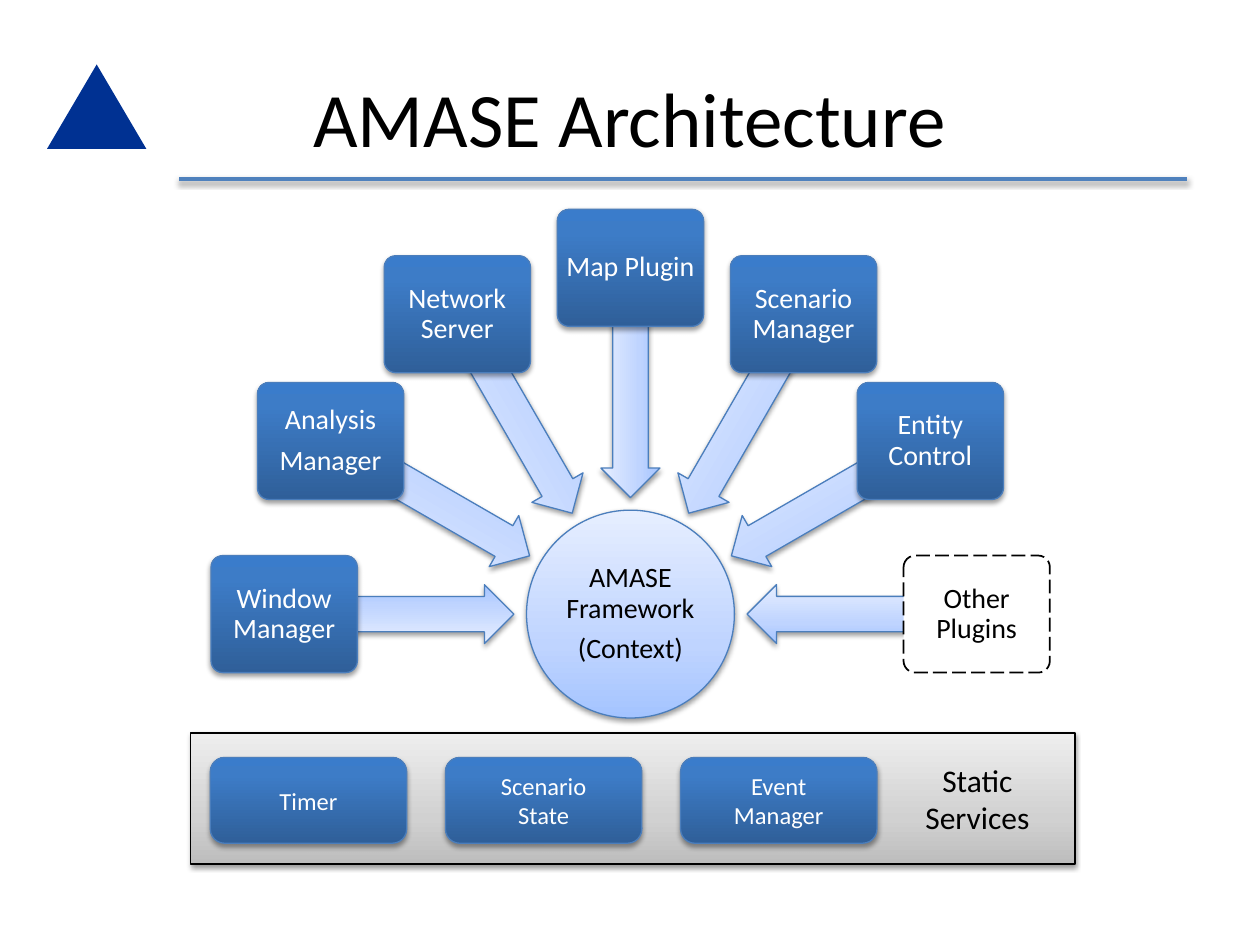
from copy import deepcopy
from math import cos, radians, sin

from lxml import etree
from pptx import Presentation
from pptx.dml.color import RGBColor
from pptx.enum.dml import MSO_LINE
from pptx.enum.shapes import MSO_CONNECTOR, MSO_SHAPE
from pptx.enum.text import MSO_ANCHOR, PP_ALIGN
from pptx.oxml.ns import qn
from pptx.util import Cm, Pt

ROUNDED, ARROW = MSO_SHAPE.ROUNDED_RECTANGLE, MSO_SHAPE.LEFT_ARROW
CENTER, MIDDLE, LONG_DASH = PP_ALIGN.CENTER, MSO_ANCHOR.MIDDLE, MSO_LINE.LONG_DASH

BLACK = RGBColor(0x00, 0x00, 0x00)
WHITE = RGBColor(0xFF, 0xFF, 0xFF)
NAVY = RGBColor(0x00, 0x31, 0x92)
RULE_BLUE = RGBColor(0x4F, 0x81, 0xBD)
EDGE_BLUE = RGBColor(0x4B, 0x7E, 0xBC)

# Gradients run from bottom to top: (position, colour)
PALE = [(0, RGBColor(0xA4, 0xC4, 0xFF)), (0.35, RGBColor(0xBF, 0xD4, 0xFF)),
        (1, RGBColor(0xE6, 0xEE, 0xFF))]
STRONG = [(0, RGBColor(0x2F, 0x5F, 0x99)), (0.8, RGBColor(0x3D, 0x7C, 0xC7)),
          (1, RGBColor(0x3A, 0x7C, 0xCB))]
GREY = [(0, RGBColor(0xBD, 0xBD, 0xBD)), (0.35, RGBColor(0xD1, 0xD1, 0xD1)),
        (1, RGBColor(0xEE, 0xEE, 0xEE))]


def style(sp, stops, line=EDGE_BLUE):
    """Give a shape a three-stop gradient, a thin outline and a soft shadow."""
    sp.fill.gradient()
    sp.fill.gradient_angle = 90
    spPr = sp._element.spPr
    gs_list = spPr.find(".//" + qn("a:gsLst"))
    gs_list.append(deepcopy(gs_list[0]))
    for stop, (position, color) in zip(sp.fill.gradient_stops, stops):
        stop.position = position
        stop.color.rgb = color
    sp.line.color.rgb = line
    sp.line.width = Pt(0.75)
    sp.shadow.inherit = False
    shadow = etree.SubElement(spPr.find(qn("a:effectLst")), qn("a:outerShdw"),
                              blurRad=str(Pt(3.1)), dist=str(Pt(1.6)),
                              dir="5400000", rotWithShape="0")
    color = etree.SubElement(shadow, qn("a:srgbClr"), val="000000")
    etree.SubElement(color, qn("a:alpha"), val="38000")


def write(sp, text, size, color, inset=None, spacing=None, after=0):
    tf = sp.text_frame
    tf.word_wrap = True
    tf.text = text
    if inset is not None:
        tf.margin_left = tf.margin_right = tf.margin_top = tf.margin_bottom = inset
    for p in tf.paragraphs:
        p.alignment = CENTER
        p.line_spacing = spacing
        p.space_after = Pt(after)
        for r in p.runs:
            r.font.name = "Calibri"
            r.font.size = Pt(size)
            r.font.color.rgb = color


prs = Presentation()
prs.slide_width, prs.slide_height = Cm(25.4), Cm(19.05)
s = prs.slides.add_slide(prs.slide_layouts[5])
shapes = s.shapes

# Header
title = shapes.title
title.left, title.top, title.width, title.height = Cm(1.27), Cm(0.76), Cm(22.86), Cm(3.18)
title.text_frame.vertical_anchor = MIDDLE
write(title, "AMASE Architecture", 44, BLACK)

emblem = shapes.add_shape(MSO_SHAPE.ISOSCELES_TRIANGLE, Cm(0.95), Cm(1.3), Cm(2), Cm(1.7))
emblem.fill.solid()
emblem.fill.fore_color.rgb = NAVY
emblem.line.fill.background()
emblem.shadow.inherit = False

# Framework hub
HUB_X, HUB_Y, HUB_SIZE = 12.71, 12.38, 4.19
hub = shapes.add_shape(MSO_SHAPE.OVAL, Cm(HUB_X - HUB_SIZE / 2), Cm(HUB_Y - HUB_SIZE / 2),
                       Cm(HUB_SIZE), Cm(HUB_SIZE))
style(hub, PALE)
hub.text_frame.vertical_anchor = MIDDLE
write(hub, "AMASE Framework\n(Context)", 16, BLACK, Cm(0.03), 0.9, 5.6)

rule = shapes.add_connector(MSO_CONNECTOR.STRAIGHT, Cm(3.61), Cm(3.61), Cm(23.93), Cm(3.61))
rule.line.color.rgb = RULE_BLUE
rule.line.width = Pt(2)
rule._element.spPr.append(deepcopy(hub._element.spPr.find(qn("a:effectLst"))))

# Plugins on a half circle around the hub, 30 degrees apart
PLUGINS = ["Window Manager", "Analysis\nManager", "Network Server", "Map Plugin",
           "Scenario Manager", "Entity Control", "Other Plugins"]
PLUGIN_RADIUS, PLUGIN_W, PLUGIN_H = 6.98, 2.95, 2.36
ARROW_RADIUS, ARROW_W, ARROW_H = 4.66, 4.62, 1.19
for i, name in enumerate(PLUGINS):
    angle = 180 + 30 * i
    dx, dy = cos(radians(angle)), sin(radians(angle))

    arrow = shapes.add_shape(ARROW, Cm(HUB_X + ARROW_RADIUS * dx - ARROW_W / 2),
                             Cm(HUB_Y + ARROW_RADIUS * dy - ARROW_H / 2),
                             Cm(ARROW_W), Cm(ARROW_H))
    arrow.adjustments[0], arrow.adjustments[1] = 0.6, 0.5
    arrow.rotation = angle % 360
    style(arrow, PALE)

    plugin = shapes.add_shape(ROUNDED, Cm(HUB_X + PLUGIN_RADIUS * dx - PLUGIN_W / 2),
                              Cm(HUB_Y + PLUGIN_RADIUS * dy - PLUGIN_H / 2),
                              Cm(PLUGIN_W), Cm(PLUGIN_H))
    plugin.adjustments[0] = 0.1
    text_color = WHITE
    if name == "Other Plugins":
        plugin.fill.solid()
        plugin.fill.fore_color.rgb = WHITE
        plugin.line.color.rgb = text_color = BLACK
        plugin.line.width = Pt(1)
        plugin.line.dash_style = LONG_DASH
        plugin.shadow.inherit = False
    else:
        style(plugin, STRONG)
    plugin.text_frame.vertical_anchor = MIDDLE
    write(plugin, name, 16, text_color, Cm(0.08), 0.9, 5.6)

# Static services
panel = shapes.add_shape(MSO_SHAPE.RECTANGLE, Cm(3.84), Cm(14.78), Cm(17.83), Cm(2.64))
style(panel, GREY, BLACK)

for i, name in enumerate(["Timer", "Scenario\nState", "Event\nManager"]):
    service = shapes.add_shape(ROUNDED, Cm(4.24 + 4.74 * i), Cm(15.27), Cm(3.96), Cm(1.73))
    style(service, STRONG)
    service.text_frame.vertical_anchor = MIDDLE
    write(service, name, 14, WHITE)

label = shapes.add_textbox(Cm(18.08), Cm(15.21), Cm(3.25), Cm(1.8))
write(label, "Static\nServices", 18, BLACK)

prs.save("out.pptx")
